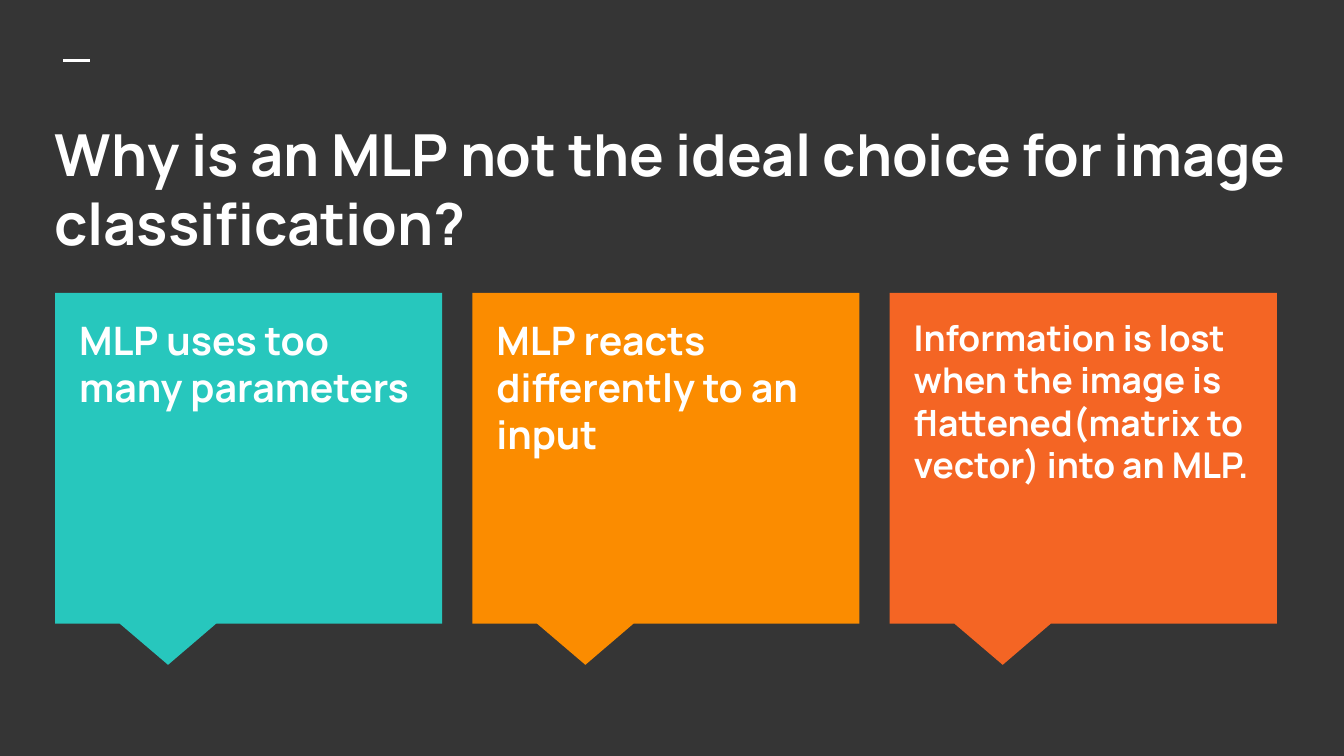
import pptx
import pptx.util
import pptx.dml.color
import pptx.enum.shapes
import pptx.enum.text
from lxml import etree

Inches = pptx.util.Inches
Pt = pptx.util.Pt
RGBColor = pptx.dml.color.RGBColor

BACKGROUND = RGBColor(0x35, 0x35, 0x35)
WHITE = RGBColor(0xFF, 0xFF, 0xFF)
TEAL = RGBColor(0x27, 0xC7, 0xBD)
AMBER = RGBColor(0xFB, 0x8C, 0x00)
ORANGE = RGBColor(0xF4, 0x65, 0x24)

FONT = "Manrope"
CARD_LEFT, CARD_TOP, CARD_WIDTH, CARD_HEIGHT = 0.41, 2.18, 2.88, 2.46
LAST_CARD_LEFT = 6.62

# Text, size and space after in points, fill
CARDS = [
    ("MLP uses too many parameters", 21, 12, TEAL),
    ("MLP reacts differently to an input", 21, 12, AMBER),
    ("Information is lost when the image is flattened(matrix to vector) into an MLP.",
     19, 0, ORANGE),
]


def add_rule(s, x1, x2, y):
    line = s.shapes.add_connector(
        pptx.enum.shapes.MSO_CONNECTOR.STRAIGHT,
        Inches(x1), Inches(y), Inches(x2), Inches(y))
    line.line.color.rgb = WHITE
    line.line.width = Pt(1.5)
    etree.SubElement(line._element.spPr, pptx.oxml.ns.qn("a:effectLst"))


def add_text(s, left, top, width, height, text, size, space_after=0):
    sp = s.shapes.add_textbox(Inches(left), Inches(top), Inches(width), Inches(height))
    tf = sp.text_frame
    tf.word_wrap = True
    tf.vertical_anchor = pptx.enum.text.MSO_ANCHOR.TOP
    tf.margin_left = tf.margin_right = Inches(0.1)
    tf.margin_top = tf.margin_bottom = Inches(0.1)
    p = tf.paragraphs[0]
    p.space_after = Pt(space_after)
    r = p.add_run()
    r.text = text
    r.font.name = FONT
    r.font.size = Pt(size)
    r.font.bold = True
    r.font.color.rgb = WHITE


def add_callout(s, left, color):
    sp = s.shapes.add_shape(
        pptx.enum.shapes.MSO_SHAPE.RECTANGULAR_CALLOUT,
        Inches(left), Inches(CARD_TOP), Inches(CARD_WIDTH), Inches(CARD_HEIGHT))
    # Tip of the pointer, as a share of the card measured from its centre
    sp.adjustments[0] = -0.208
    sp.adjustments[1] = 0.625
    sp.shadow.inherit = False
    sp.fill.solid()
    sp.fill.fore_color.rgb = color
    sp.line.fill.background()


def main():
    # Widescreen 16:9 slide
    prs = pptx.Presentation()
    prs.slide_width = Inches(10)
    prs.slide_height = Inches(10 * 9 / 16)
    s = prs.slides.add_slide(prs.slide_layouts[6])
    s.background.fill.solid()
    s.background.fill.fore_color.rgb = BACKGROUND

    # Heading
    add_rule(s, 0.47, 0.67, 0.45)
    add_text(s, 0.31, 0.78, 9.43, 1.12,
             "Why is an MLP not the ideal choice for image classification?", 31)

    # Reason cards
    step = (LAST_CARD_LEFT - CARD_LEFT) / (len(CARDS) - 1)
    for i, (text, size, space_after, color) in enumerate(CARDS):
        left = CARD_LEFT + i * step
        add_callout(s, left, color)
        add_text(s, left + 0.08, CARD_TOP + 0.07, 2.71, 2.19, text, size, space_after)

    prs.save("out.pptx")


if __name__ == "__main__":
    main()
